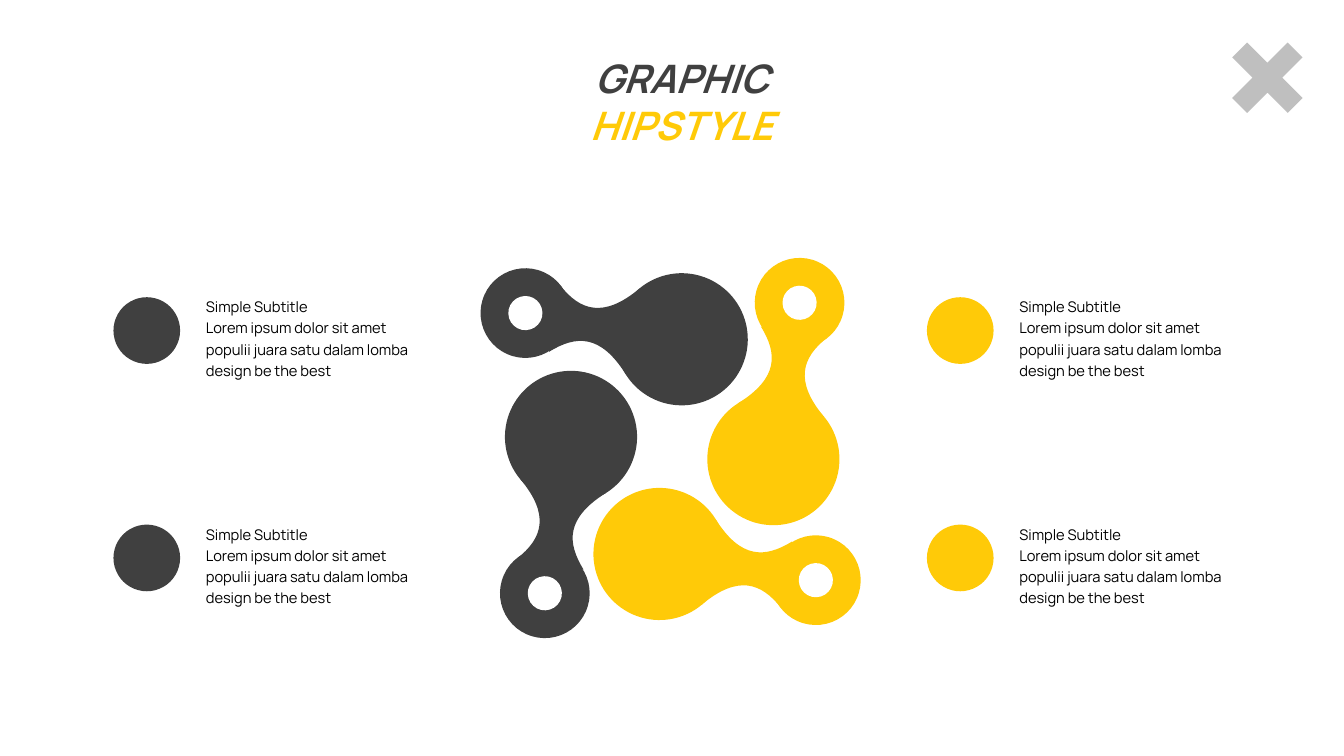
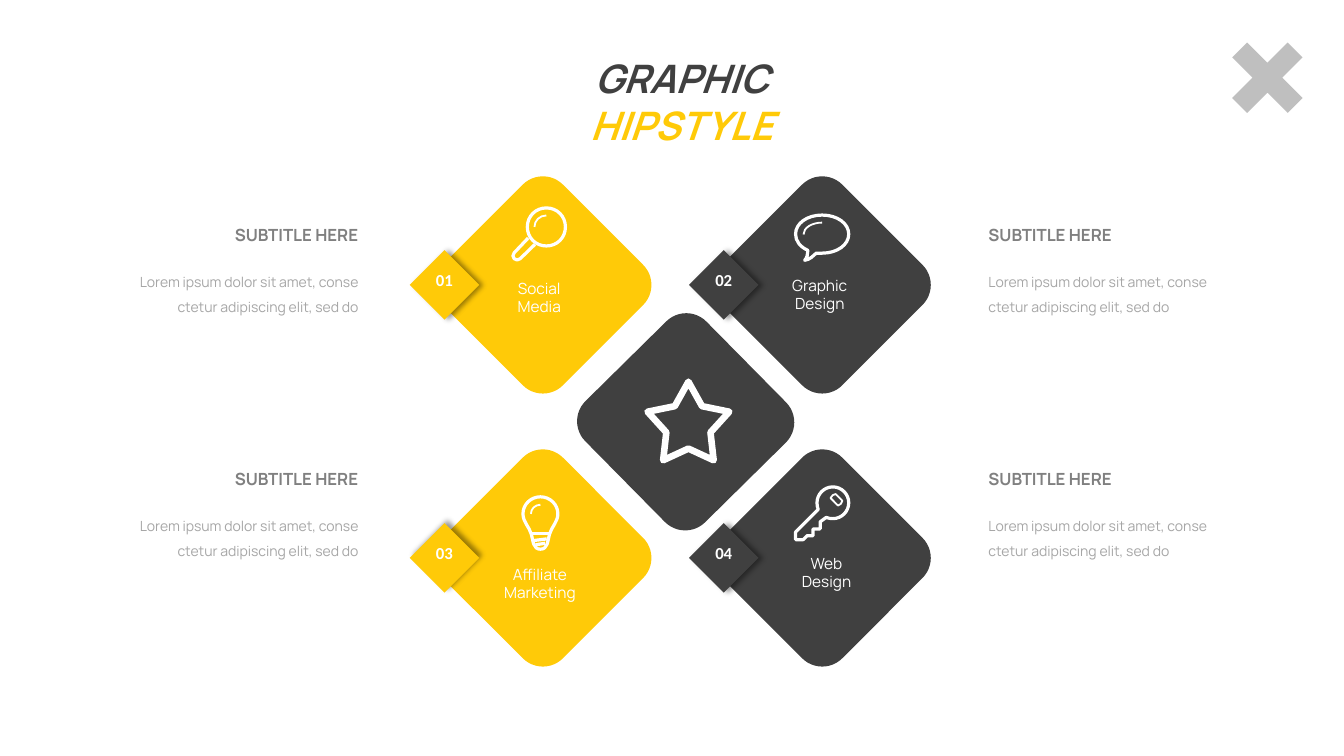
from dataclasses import dataclass

from lxml import etree
from pptx import Presentation
from pptx.dml.color import RGBColor
from pptx.enum.shapes import MSO_SHAPE
from pptx.enum.text import MSO_AUTO_SIZE, PP_ALIGN
from pptx.oxml.ns import qn
from pptx.util import Cm, Pt

OVAL, PLUS, STAR = MSO_SHAPE.OVAL, MSO_SHAPE.CROSS, MSO_SHAPE.STAR_5_POINT
SQUARE, ROUNDED = MSO_SHAPE.RECTANGLE, MSO_SHAPE.ROUNDED_RECTANGLE
LEFT, CENTER, RIGHT = PP_ALIGN.LEFT, PP_ALIGN.CENTER, PP_ALIGN.RIGHT
GROW = MSO_AUTO_SIZE.SHAPE_TO_FIT_TEXT


@dataclass(frozen=True)
class Theme:
    dark: RGBColor = RGBColor(0x40, 0x40, 0x40)
    accent: RGBColor = RGBColor(0xFF, 0xCA, 0x08)
    white: RGBColor = RGBColor(0xFF, 0xFF, 0xFF)
    black: RGBColor = RGBColor(0, 0, 0)
    cross: RGBColor = RGBColor(0xBF, 0xBF, 0xBF)
    subtitle: RGBColor = RGBColor(0x80, 0x80, 0x80)
    body: RGBColor = RGBColor(0xA6, 0xA6, 0xA6)
    font: str = "Manrope"
    number_font: str = "Calibri"
    title_size: float = 28
    subtitle_size: float = 12
    label_size: float = 11
    note_size: float = 10.5
    body_size: float = 10
    thick: float = 4.7
    medium: float = 2.3
    thin: float = 1.3


theme = Theme()


def add_figure(slide, geometry, x, y, w=0, h=0, fill=None, stroke=None, turn=0):
    """Draw a preset centred on (x, y), or contours whose origin is (x, y), in cm.

    A contour is a start point followed by line ends (x, y) and cubic curves
    (x1, y1, x2, y2, x, y). It is closed when it ends where it started.
    """
    if isinstance(geometry, list):
        builder = slide.shapes.build_freeform(
            Cm(x + geometry[0][0][0]), Cm(y + geometry[0][0][1]))
        for contour in geometry:
            if contour is not geometry[0]:
                builder.move_to(Cm(x + contour[0][0]), Cm(y + contour[0][1]))
            builder.add_line_segments(
                [(Cm(x + step[i]), Cm(y + step[i + 1]))
                 for step in contour[1:] for i in range(0, len(step), 2)],
                close=contour[0] == contour[-1][-2:])
        figure = builder.convert_to_shape()
        # Join the three points of each curve into one cubic segment
        segments = iter(list(figure.element.iter(qn("a:lnTo"))))
        for step in (step for contour in geometry for step in contour[1:]):
            first, *others = [next(segments) for _ in range(len(step) // 2)]
            if others:
                first.tag = qn("a:cubicBezTo")
            for other in others:
                first.append(other[0])
                other.getparent().remove(other)
    else:
        figure = slide.shapes.add_shape(
            geometry, Cm(x - w / 2), Cm(y - h / 2), Cm(w), Cm(h))
    figure.rotation = turn
    figure.shadow.inherit = False
    if fill is None:
        figure.fill.background()
    else:
        figure.fill.solid()
        figure.fill.fore_color.rgb = fill
    if stroke is None:
        figure.line.fill.background()
    else:
        figure.line.color.rgb = theme.white
        figure.line.width = Pt(stroke)
    return figure


def add_text(slide, lines, x, y, w, h, size, color, align=LEFT, spacing=None,
             bold=False, font=theme.font):
    box = slide.shapes.add_textbox(Cm(x), Cm(y), Cm(w), Cm(h))
    frame = box.text_frame
    frame.word_wrap = True
    frame.auto_size = GROW
    frame.text = "\n".join(lines)
    for paragraph in frame.paragraphs:
        paragraph.alignment = align
        if spacing:
            paragraph.line_spacing = spacing
        paragraph.font.name = font
        paragraph.font.size = Pt(size)
        paragraph.font.bold = bold
        paragraph.font.color.rgb = color
    return frame


deck = Presentation()
deck.slide_width, deck.slide_height = Cm(33.87), Cm(19.05)
blank = deck.slide_layouts[6]
pinwheel_slide, diamond_slide = slides = [deck.slides.add_slide(blank) for _ in range(2)]

# Shared corner cross and title
for slide in slides:
    cross = add_figure(slide, PLUS, 31.94, 1.96, 1.98, 1.98, theme.cross, turn=45)
    cross.adjustments[0] = 0.366
    title = add_text(slide, ["GRAPHIC"], 12.4, 1.24, 9.55, 1.45,
                     theme.title_size, theme.dark, CENTER, bold=True).paragraphs[0]
    title.font.italic = True
    second_word = title.add_run()
    second_word.text = " HIPSTYLE"
    second_word.font.color.rgb = theme.accent

# Slide 1: pinwheel of four arms, each a quarter turn on from the last
tilt, hole_tilt = 54, 42.6
neck = [(-0.16, 1.39), (-0.08, 0.2, -0.59, -0.14, -1.39, -0.2), (-0.18, -1.39),
        (-0.15, -0.58, 0.21, -0.07, 1.39, -0.15), (-0.16, 1.39)]
neck_offset, tip_offset = (0.34, -2.1), (0.66, -3.94)
arms = [(19.49, 11.57, theme.accent), (16.62, 13.96, theme.accent),
        (14.39, 11.01, theme.dark), (17.18, 8.55, theme.dark)]
for x, y, color in arms:
    tip_x, tip_y = x + tip_offset[0], y + tip_offset[1]
    add_figure(pinwheel_slide, OVAL, x, y, 3.33, 3.33, color, turn=tilt)
    add_figure(pinwheel_slide, OVAL, tip_x, tip_y, 2.26, 2.26, color, turn=tilt)
    add_figure(pinwheel_slide, [neck], x + neck_offset[0], y + neck_offset[1],
               fill=color, turn=tilt)
    add_figure(pinwheel_slide, OVAL, tip_x, tip_y, 0.86, 0.86, theme.white, turn=hole_tilt)
    neck_offset, tip_offset, *neck = [
        tuple(value for i in range(0, len(step), 2) for value in (-step[i + 1], step[i]))
        for step in (neck_offset, tip_offset, *neck)]

note = ["Simple Subtitle",
        "Lorem ipsum dolor sit amet populii juara satu dalam lomba design be the best"]
for x, color in ((3.7, theme.dark), (24.2, theme.accent)):
    for y in (8.33, 14.06):
        add_figure(pinwheel_slide, OVAL, x, y, 1.68, 1.68, color)
        add_text(pinwheel_slide, note, x + 1.24, y - 1.03, 6.07, 2.36,
                 theme.note_size, theme.black, spacing=1.2)

# Slide 2: icons as (contours, line width) pairs, around each icon's own origin
magnifier = [
    ([[(-0.48, 0), (-0.48, -0.27, -0.27, -0.48, 0, -0.48), (0.27, -0.48, 0.48, -0.27, 0.48, 0),
       (0.48, 0.27, 0.27, 0.48, 0, 0.48), (-0.27, 0.48, -0.48, 0.27, -0.48, 0)],
      [(-0.46, 0.28), (-0.81, 0.65), (-0.91, 0.75, -0.76, 0.9, -0.66, 0.8),
       (-0.29, 0.44)]], theme.medium),
    ([[(-0.3, 0), (-0.3, -0.16, -0.17, -0.29, 0, -0.29)]], theme.thin),
]
bubble = [
    ([[(-0.36, 0.41), (-0.36, 0.5, -0.38, 0.6, -0.44, 0.66),
       (-0.3, 0.64, -0.23, 0.55, -0.15, 0.48), (0, 0.48),
       (0.38, 0.48, 0.67, 0.27, 0.67, 0), (0.67, -0.27, 0.38, -0.48, 0, -0.48),
       (-0.38, -0.48, -0.67, -0.27, -0.67, 0),
       (-0.67, 0.17, -0.56, 0.32, -0.36, 0.41)]], theme.medium),
    ([[(-0.47, 0.01), (-0.47, -0.16, -0.26, -0.29, 0, -0.29)]], theme.thin),
]
bulb = [
    ([[(0, -0.43), (0.24, -0.43, 0.44, -0.24, 0.44, 0), (0.44, 0.2, 0.28, 0.33, 0.23, 0.51),
       (0.18, 0.7, 0.18, 0.89, 0, 0.89), (-0.18, 0.89, -0.18, 0.7, -0.23, 0.51),
       (-0.28, 0.33, -0.44, 0.2, -0.44, 0),
       (-0.44, -0.24, -0.24, -0.43, 0, -0.43)],
      [(-0.22, 0.5), (0.22, 0.5)],
      [(-0.16, 0.67), (0.16, 0.63)],
      [(-0.12, 0.78), (0.12, 0.74)]], theme.medium),
    ([[(-0.24, 0), (-0.24, -0.13, -0.13, -0.23, 0, -0.23)]], theme.thin),
]
key = [
    ([[(-0.37, 0.17), (-0.39, 0.11, -0.4, 0.06, -0.4, 0), (-0.4, -0.22, -0.22, -0.4, 0, -0.4),
       (0.22, -0.4, 0.4, -0.22, 0.4, 0), (0.4, 0.22, 0.22, 0.4, 0, 0.4),
       (-0.06, 0.4, -0.11, 0.39, -0.17, 0.37), (-0.32, 0.48), (-0.32, 0.66), (-0.5, 0.66),
       (-0.5, 0.83), (-0.65, 0.83), (-0.75, 0.93), (-0.94, 0.93), (-0.94, 0.74),
       (-0.37, 0.17)]], theme.medium),
    ([[(-0.06, -0.12), (-0.02, -0.19, 0.01, -0.21, 0.07, -0.22), (0.24, -0.05),
       (0.22, 0.02, 0.19, 0.05, 0.13, 0.07), (-0.06, -0.12)]], theme.thin),
]

left_x, right_x, top_y, bottom_y = 13.68, 20.72, 7.18, 14.06
# number, centre, colour, shadow angle, icon and its origin, label with its centre and top
tiles = [
    ("02", right_x, top_y, theme.dark, 0, bubble, (20.72, 5.9),
     ["Graphic", "Design"], (20.66, 6.83)),
    ("04", right_x, bottom_y, theme.dark, 0, key, (20.99, 12.67),
     ["Web", "Design"], (20.83, 13.83)),
    ("03", left_x, bottom_y, theme.accent, 315, bulb, (13.62, 12.95),
     ["Affiliate", "Marketing"], (13.61, 14.11)),
    ("01", left_x, top_y, theme.accent, 0, magnifier, (13.77, 5.72),
     ["Social", "Media"], (13.59, 6.9)),
]
for number, x, y, color, angle, icon, origin, label, (label_x, label_y) in tiles:
    add_figure(diamond_slide, ROUNDED, x, y, 4.29, 4.29, color, turn=45)
    badge_x = x - 2.48
    badge = add_figure(diamond_slide, SQUARE, badge_x, y, 1.24, 1.24, color, turn=45)
    effects = badge.element.find(".//" + qn("a:effectLst"))
    shadow = etree.SubElement(effects, qn("a:outerShdw"), blurRad=str(Pt(4)),
                              dist=str(Pt(3)), dir=str(angle * 60000), rotWithShape="0")
    shadow_color = etree.SubElement(shadow, qn("a:srgbClr"), val=str(theme.black))
    etree.SubElement(shadow_color, qn("a:alpha"), val="40000")
    add_text(diamond_slide, [number], badge_x - 0.5, y - 0.51, 1, 0.76,
             theme.subtitle_size, theme.white, CENTER, bold=True, font=theme.number_font)
    for contours, weight in icon:
        add_figure(diamond_slide, contours, *origin, stroke=weight)
    add_text(diamond_slide, label, label_x - 1.25, label_y, 2.5, 1.19,
             theme.label_size, theme.white, CENTER)

add_figure(diamond_slide, ROUNDED, 17.28, 10.63, 4.29, 4.29, theme.dark, turn=45.4)
star = add_figure(diamond_slide, STAR, 17.35, 10.61, 2.06, 1.98, stroke=theme.thick)
star.adjustments[0] = 0.27

body = ["Lorem ipsum dolor sit amet, conse ctetur adipiscing elit, sed do"]
for body_x, subtitle_x, align in ((24.66, 24.66, LEFT), (2.4, 5.52, RIGHT)):
    for y in (5.54, 11.69):
        add_text(diamond_slide, ["SUBTITLE HERE"], subtitle_x, y, 3.76, 0.76,
                 theme.subtitle_size, theme.subtitle, align, bold=True)
        add_text(diamond_slide, body, body_x, y + 1.02, 6.88, 1.55,
                 theme.body_size, theme.body, align, spacing=1.5)

deck.save("out.pptx")
